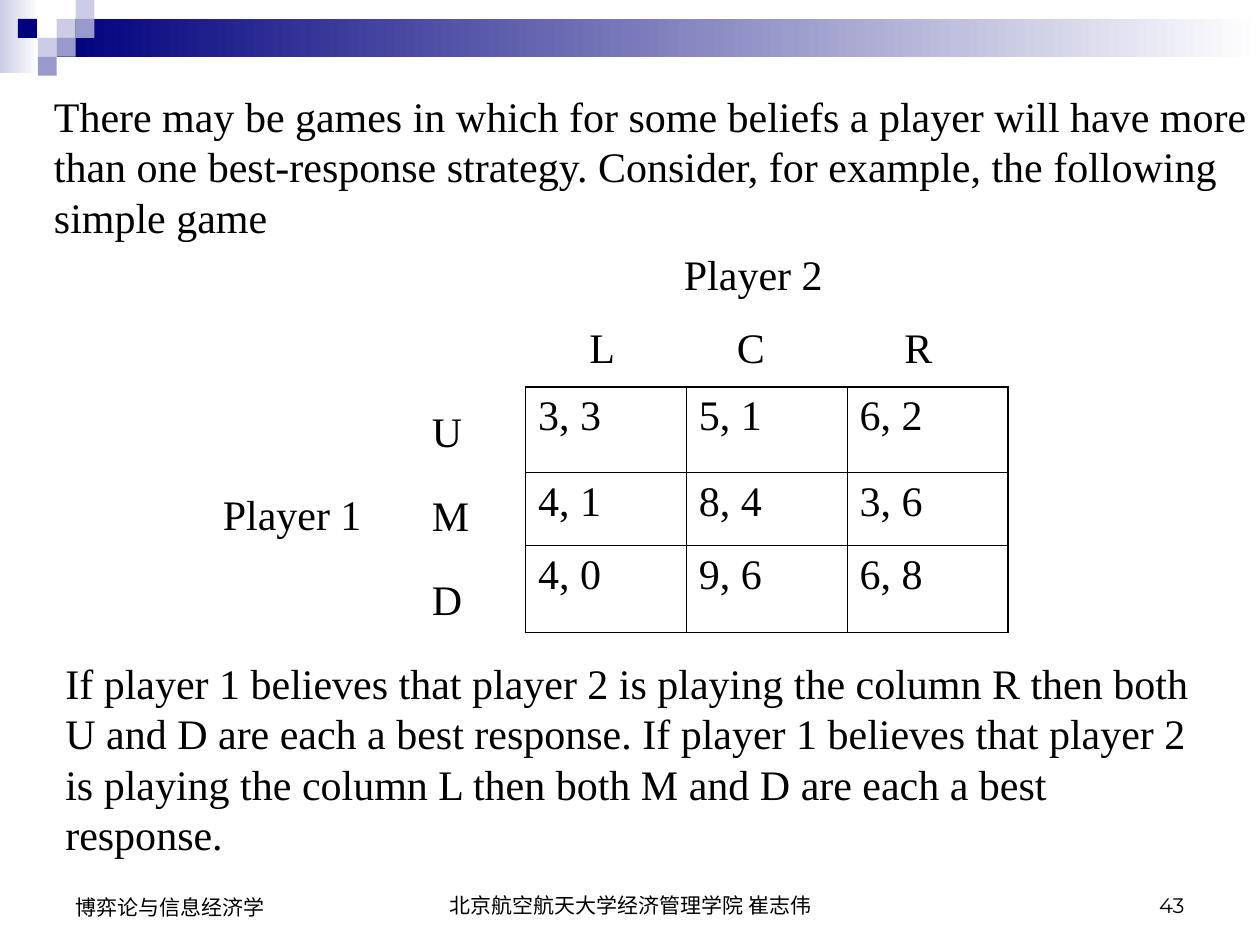
from lxml.etree import SubElement
from pptx import Presentation
from pptx.dml.color import RGBColor
from pptx.enum.shapes import MSO_SHAPE
from pptx.enum.text import MSO_ANCHOR, PP_ALIGN
from pptx.oxml.ns import qn
from pptx.util import Inches, Pt

BLACK = RGBColor(0x00, 0x00, 0x00)
WHITE = RGBColor(0xFF, 0xFF, 0xFF)
NAVY = RGBColor(0x00, 0x00, 0x7D)
LAVENDER = RGBColor(0xCC, 0xCC, 0xE6)
PERIWINKLE = RGBColor(0x99, 0x99, 0xCC)
SERIF = "Times New Roman"

INTRO = (
    "There may be games in which for some beliefs a player will have more than one "
    "best-response strategy. Consider, for example, the following simple game"
)
CONCLUSION = (
    "If player 1 believes that player 2 is playing the column R then both U and D are "
    "each a best response. If player 1 believes that player 2 is playing the column L "
    "then both M and D are each a best response."
)
PAYOFFS = [
    ["3, 3", "5, 1", "6, 2"],
    ["4, 1", "8, 4", "3, 6"],
    ["4, 0", "9, 6", "6, 8"],
]


def style_text(para, size, font, align=PP_ALIGN.LEFT):
    para.alignment = align
    para.font.size = Pt(size)
    for span in para.runs:
        span.font.size = Pt(size)
        span.font.name = font
        span.font.color.rgb = BLACK


def add_text(page, text, left, top, width, height, size=24, font=SERIF,
             align=PP_ALIGN.LEFT, anchor=MSO_ANCHOR.TOP):
    box = page.shapes.add_textbox(Inches(left), Inches(top), Inches(width), Inches(height))
    frame = box.text_frame
    frame.word_wrap = True
    frame.vertical_anchor = anchor
    frame.text = text
    style_text(frame.paragraphs[0], size, font, align)


def add_block(page, left, top, width, height, color, fades=False):
    block = page.shapes.add_shape(
        MSO_SHAPE.RECTANGLE, Inches(left), Inches(top), Inches(width), Inches(height)
    )
    block.shadow.inherit = False
    block.line.fill.background()
    if fades:
        block.fill.gradient()
        block.fill.gradient_angle = 0
        for stop, stop_color, position in zip(block.fill.gradient_stops, (color, WHITE), (0, 1)):
            stop.color.rgb = stop_color
            stop.position = position
    else:
        block.fill.solid()
        block.fill.fore_color.rgb = color


def add_banner(page, left, top, width):
    side = 0.15
    add_block(page, left, top, 0.31, 0.58, LAVENDER, fades=True)
    add_block(page, left + 3 * side, top + side, width - 3 * side, 2 * side, NAVY, fades=True)
    squares = [
        (3, 1, LAVENDER), (4, 0, LAVENDER), (4, 1, PERIWINKLE), (2, 2, LAVENDER),
        (0.95, 1, NAVY), (3, 2, PERIWINKLE), (2, 3, PERIWINKLE),
    ]
    for column, row, color in squares:
        add_block(page, left + column * side, top + row * side, side, side, color)


def add_border(cell, side, index, width):
    properties = cell._tc.get_or_add_tcPr()
    line = SubElement(properties, qn(f"a:{side}"), w=str(Pt(width)))
    fill = SubElement(line, qn("a:solidFill"))
    SubElement(fill, qn("a:srgbClr"), val=str(BLACK))
    properties.insert(index, line)


def add_payoffs(page, left, top, width):
    heights = [0.68, 0.58, 0.69]
    count = len(PAYOFFS)
    table = page.shapes.add_table(
        count, count, Inches(left), Inches(top), Inches(width), Inches(sum(heights))
    ).table
    table.first_row = False
    table.horz_banding = False
    for column in table.columns:
        column.width = Inches(width / count)
    for row, height in enumerate(heights):
        table.rows[row].height = Inches(height)
        for column, payoff in enumerate(PAYOFFS[row]):
            cell = table.cell(row, column)
            cell.fill.background()
            cell.text = payoff
            style_text(cell.text_frame.paragraphs[0], 24, SERIF)
            outer_edges = {
                "lnL": column == 0,
                "lnR": column == count - 1,
                "lnT": row == 0,
                "lnB": row == count - 1,
            }
            for index, (side, outer) in enumerate(outer_edges.items()):
                add_border(cell, side, index, 1.08 if outer else 0.45)


def add_game(page, left, top):
    add_payoffs(page, left + 2.5, top + 1.15, 3.83)
    add_text(page, "Player 2", left + 3.66, top, 1.83, 0.5)
    add_text(page, "Player 1", left, top + 1.91, 1.33, 0.5)
    for index, strategy in enumerate("UMD"):
        add_text(page, strategy, left + 1.66, top + 1.25 + index * 0.665, 0.58, 0.5)
    for strategy, offset in zip("LCR", (2.91, 4.08, 5.41)):
        add_text(page, strategy, left + offset, top + 0.58, 0.58, 0.5)


def add_footer(page, left, top):
    entries = [
        ("博弈论与信息经济学", 0, 2.33, 0.52, "Arial", PP_ALIGN.LEFT),
        ("北京航空航天大学经济管理学院 崔志伟", 2.92, 3.17, 0.5, "Arial", PP_ALIGN.CENTER),
        ("43", 6.67, 2.33, 0.5, "Montserrat", PP_ALIGN.RIGHT),
    ]
    for text, offset, width, height, font, align in entries:
        add_text(page, text, left + offset, top, width, height, 12, font, align,
                 MSO_ANCHOR.BOTTOM)


def main():
    deck = Presentation()
    deck.slide_width = Inches(10)
    deck.slide_height = Inches(7.5)
    page = deck.slides.add_slide(deck.slide_layouts[6])
    add_banner(page, 0, 0, 10)
    add_footer(page, 0.5, 6.83)
    add_text(page, INTRO, 0.33, 0.67, 9.67, 1.3)
    add_game(page, 1.67, 1.92)
    add_text(page, CONCLUSION, 0.42, 5.17, 9.25, 1.7)
    deck.save("out.pptx")


if __name__ == "__main__":
    main()
